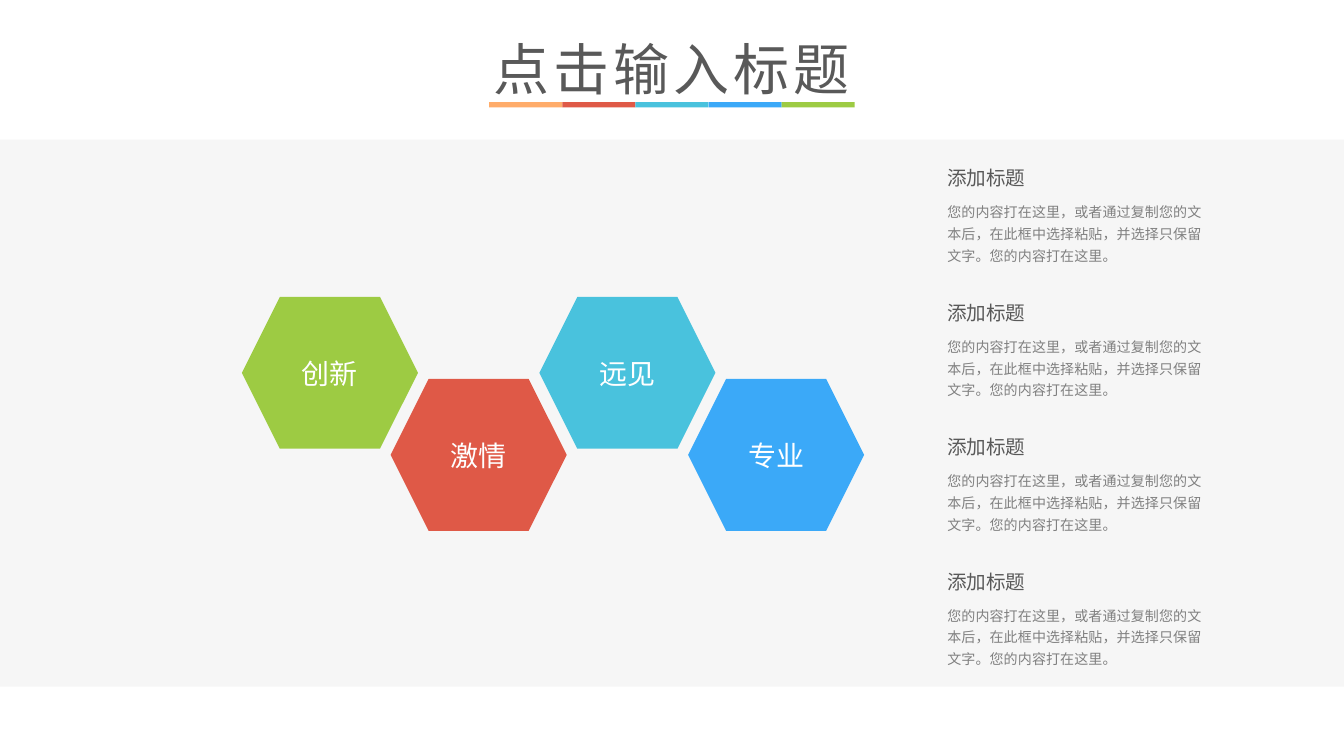
"""Build a slide with four value hexagons and four captioned notes."""
import pptx
import pptx.dml.color
import pptx.enum.shapes
import pptx.enum.text
import pptx.oxml.ns
import pptx.util
from lxml import etree

Inches = pptx.util.Inches
SHAPES = pptx.enum.shapes.MSO_SHAPE
ALIGN = pptx.enum.text.PP_ALIGN
FIT = pptx.enum.text.MSO_AUTO_SIZE.SHAPE_TO_FIT_TEXT
MIDDLE = pptx.enum.text.MSO_ANCHOR.MIDDLE

TITLE = "点击输入标题"
STRIPES = ["FFAC6A", "DF5947", "49C2DD", "3BA9F8", "9DCB43"]
VALUES = [("创新", "9DCB43"), ("激情", "DF5947"), ("远见", "49C2DD"), ("专业", "3BA9F8")]
NOTES = [("添加标题", "您的内容打在这里，或者通过复制您的文本后，"
          "在此框中选择粘贴，并选择只保留文字。您的内容打在这里。")] * 4

SANS = "Noto Sans CJK SC"
TITLE_STYLE = {"font": "Noto Sans CJK JP", "size": 30, "color": "595959", "spacing": 2.2,
               "paragraph": {"alignment": ALIGN.CENTER},
               "frame": {"word_wrap": False, "auto_size": FIT}}
VALUE_STYLE = {"font": SANS, "size": 15, "color": "FFFFFF",
               "paragraph": {"alignment": ALIGN.CENTER},
               "frame": {"word_wrap": True, "vertical_anchor": MIDDLE,
                         "margin_left": Inches(0.07), "margin_right": Inches(0.07),
                         "margin_top": Inches(0.04), "margin_bottom": Inches(0.04)}}
HEADING_STYLE = {"font": SANS, "size": 10.5, "color": "595959",
                 "paragraph": {"line_spacing": 1.5},
                 "frame": {"word_wrap": True, "auto_size": FIT,
                           "margin_top": 0, "margin_bottom": 0}}
BODY_STYLE = {"font": SANS, "size": 7.5, "color": "808080",
              "paragraph": {"line_spacing": 1.3},
              "frame": {"word_wrap": True, "auto_size": FIT}}


def rgb(color):
    return pptx.dml.color.RGBColor.from_string(color)


def set_all(target, values):
    for name, value in values.items():
        setattr(target, name, value)


def write(shape, text, style):
    set_all(shape.text_frame, style["frame"])
    paragraph = shape.text_frame.paragraphs[0]
    set_all(paragraph, style["paragraph"])
    run = paragraph.add_run()
    run.text = text
    set_all(run.font, {"name": style["font"], "size": pptx.util.Pt(style["size"])})
    run.font.color.rgb = rgb(style["color"])
    properties = run._r.get_or_add_rPr()
    properties.set("lang", "zh-CN")
    if "spacing" in style:
        properties.set("spc", str(round(style["spacing"] * 100)))
    east_asian = etree.SubElement(properties, pptx.oxml.ns.qn("a:ea"))
    east_asian.set("typeface", style["font"])


def add_block(slide, kind, box, color):
    block = slide.shapes.add_shape(kind, *map(Inches, box))
    block.shadow.inherit = False
    block.fill.solid()
    block.fill.fore_color.rgb = rgb(color)
    block.line.fill.background()
    return block


def add_text(slide, box, text, style):
    write(slide.shapes.add_textbox(*map(Inches, box)), text, style)


def main():
    deck = pptx.Presentation()
    set_all(deck, {"slide_width": Inches(10), "slide_height": Inches(10 * 9 / 16)})
    slide = deck.slides.add_slide(deck.slide_layouts[6])

    stripe_width = 2.72 / len(STRIPES)
    for i, color in enumerate(STRIPES):
        add_block(slide, SHAPES.RECTANGLE,
                  (3.64 + i * stripe_width, 0.76, stripe_width, 0.04), color)
    add_block(slide, SHAPES.RECTANGLE, (0, 1.04, 10, 4.07), "F6F6F6")
    add_text(slide, (3.54, 0.21, 2.92, 0.61), TITLE, TITLE_STYLE)

    value_pitch = (5.12 - 1.8) / (len(VALUES) - 1)
    for i, (value, color) in enumerate(VALUES):
        box = (1.8 + i * value_pitch, 2.21 + i % 2 * 0.61, 1.31, 1.13)
        write(add_block(slide, SHAPES.HEXAGON, box, color), value, VALUE_STYLE)

    for i, (heading, body) in enumerate(NOTES):
        top = 1.15 + i
        add_text(slide, (6.95, top + 0.28, 2.09, 0.59), body, BODY_STYLE)
        add_text(slide, (6.95, top, 0.83, 0.27), heading, HEADING_STYLE)

    deck.save("out.pptx")


if __name__ == "__main__":
    main()
